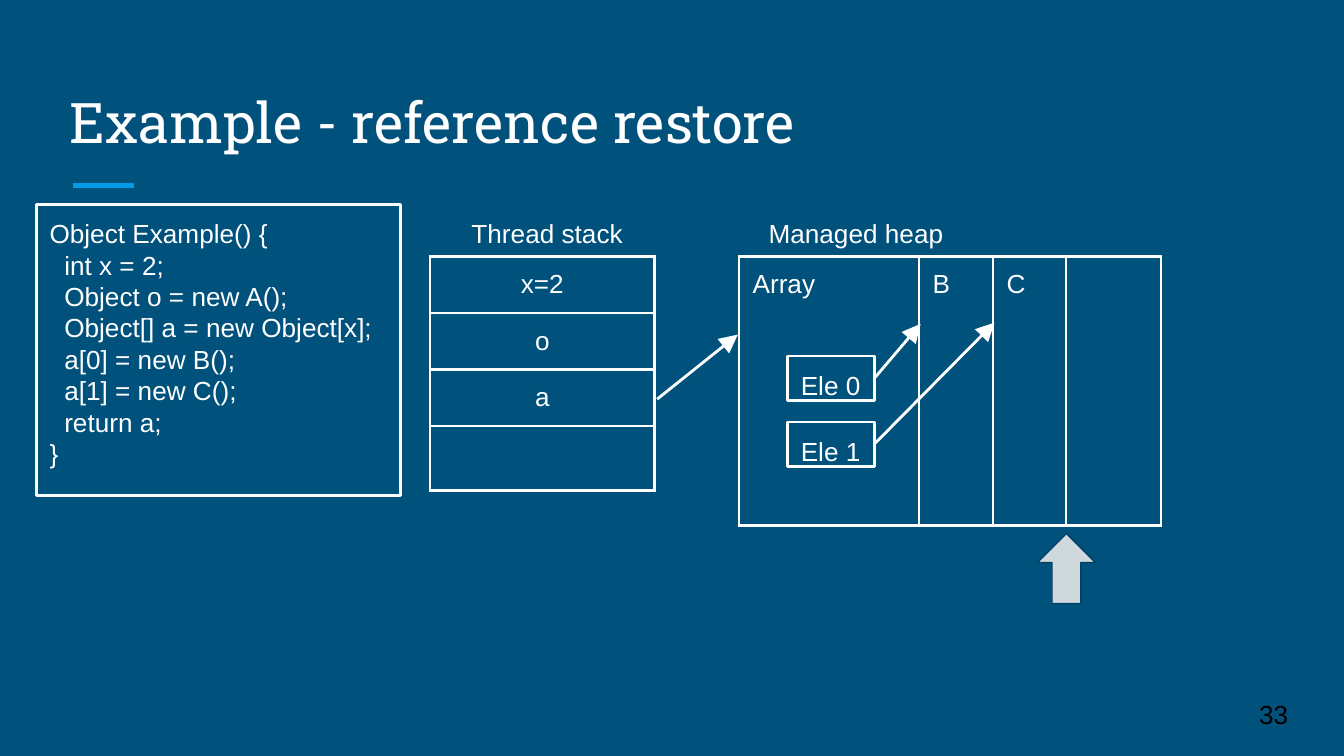
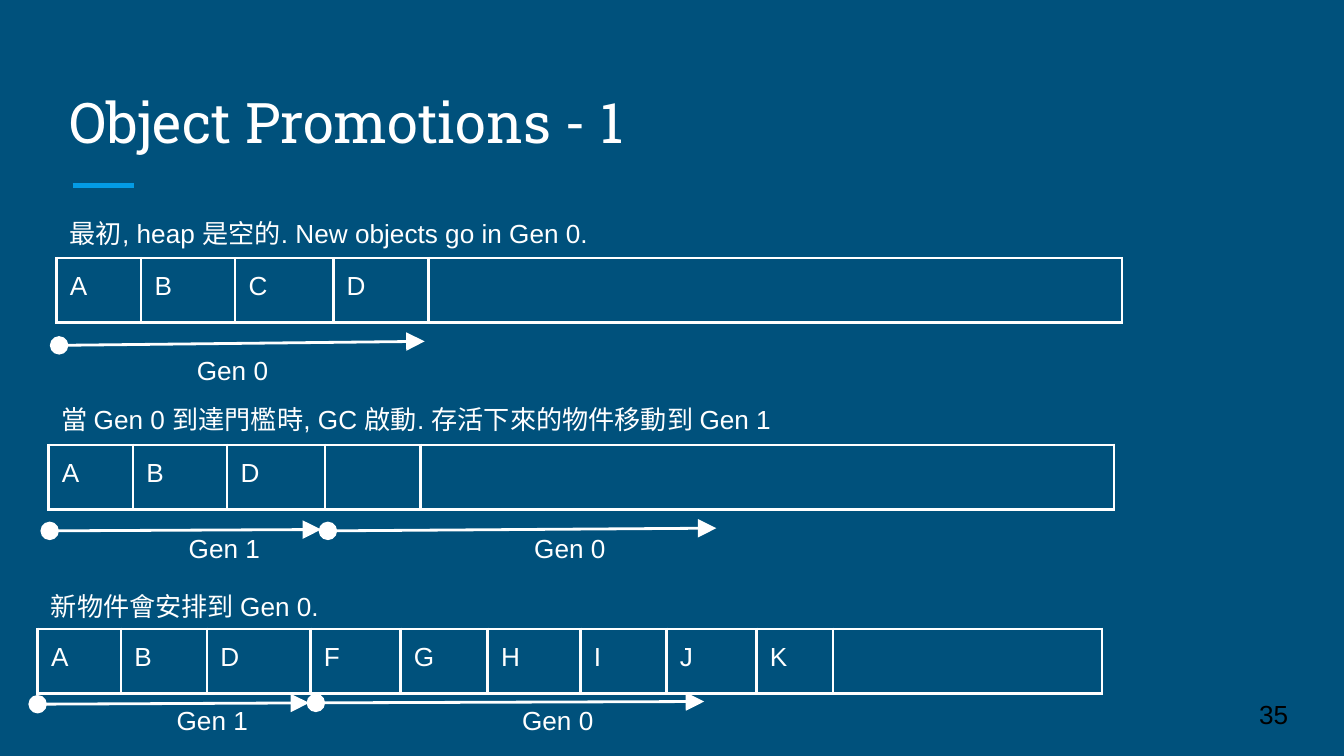
"""Build two slides on memory references and generations in a managed heap."""
from lxml import etree
from pptx import Presentation
from pptx.dml.color import RGBColor
from pptx.enum.shapes import MSO_CONNECTOR, MSO_SHAPE
from pptx.enum.text import MSO_ANCHOR, MSO_AUTO_SIZE, PP_ALIGN
from pptx.oxml.ns import qn
from pptx.util import Inches, Pt

LEFT, CENTER = PP_ALIGN.LEFT, PP_ALIGN.CENTER
TOP, MIDDLE, BOTTOM = MSO_ANCHOR.TOP, MSO_ANCHOR.MIDDLE, MSO_ANCHOR.BOTTOM
NO_FIT = MSO_AUTO_SIZE.NONE
STRAIGHT, RECT, UP_ARROW = MSO_CONNECTOR.STRAIGHT, MSO_SHAPE.RECTANGLE, MSO_SHAPE.UP_ARROW

BACK, WHITE, BLACK = "00517C", "FFFFFF", "000000"
ACCENT, GREY, DARK = "039BE5", "CFD8DC", "004065"
ROW_H, LAST_ROW_H = 0.42, 0.48
GEN_COLS = [0.63, 0.7, 0.73, 0.71, 5.16]


def write(tf, lines, align=LEFT, anchor=TOP, size=14, font="Arial", color=WHITE):
    tf.word_wrap = True
    tf.auto_size = NO_FIT
    tf.vertical_anchor = anchor
    tf.margin_left = tf.margin_right = tf.margin_top = tf.margin_bottom = Inches(0.1)
    for i, (text, indent) in enumerate(lines):
        p = tf.add_paragraph() if i else tf.paragraphs[0]
        p.alignment = align
        if indent:
            p._p.get_or_add_pPr().set("marL", str(Inches(indent)))
        r = p.add_run()
        r.text = text
        r.font.name = font
        r.font.size = Pt(size)
        r.font.color.rgb = RGBColor.from_string(color)


def add_line(s, x1, y1, x2, y2, color=WHITE, width=1.5, head=None, tail=None):
    c = s.shapes.add_connector(STRAIGHT, Inches(x1), Inches(y1), Inches(x2), Inches(y2))
    c.line.color.rgb = RGBColor.from_string(color)
    c.line.width = Pt(width)
    spPr = c._element.spPr
    for tag, kind in (("a:headEnd", head), ("a:tailEnd", tail)):
        if kind:
            etree.SubElement(spPr.find(qn("a:ln")), qn(tag), type=kind, w="lg", len="lg")
    etree.SubElement(spPr, qn("a:effectLst"))


code = [("Object Example() {", 0), ("int x = 2;", 0.11), ("Object o = new A();", 0.11),
        ("Object[] a = new Object[x];", 0.11), ("a[0] = new B();", 0.11),
        ("a[1] = new C();", 0.11), ("return a;", 0.11), ("}", 0)]

slides = [
    {"title": "Example - reference restore", "number": "33",
     "boxes": [(0.27, 1.52, 2.71, 2.17, code),
               (5.86, 2.65, 0.65, 0.33, [("Ele 0", 0)]),
               (5.86, 3.14, 0.65, 0.33, [("Ele 1", 0)])],
     "labels": [(3.41, 1.52, 1.46, 0.39, "Thread stack", LEFT),
                (5.62, 1.52, 1.67, 0.39, "Managed heap", LEFT)],
     "tables": [(3.2, 1.91, [1.67], [ROW_H] * 3 + [LAST_ROW_H], ["x=2", "o", "a", ""], CENTER),
                (5.5, 1.91, [1.34, 0.55, 0.54, 0.71], [2], ["Array", "B", "C", ""], LEFT)],
     "head": None,
     "arrows": [(6.51, 2.81, 6.85, 2.41), (4.89, 2.97, 5.49, 2.49), (6.51, 3.3, 7.4, 2.4)]},
    {"title": "Object Promotions - 1", "number": "35",
     "boxes": [],
     "labels": [(0.42, 1.52, 7.92, 0.35, "最初, heap 是空的. New objects go in Gen 0.", LEFT),
                (0.43, 2.54, 2.6, 0.35, "Gen 0", CENTER),
                (0.36, 2.9, 7.92, 0.35, "當 Gen 0 到達門檻時, GC 啟動. 存活下來的物件移動到 Gen 1", LEFT),
                (0.37, 3.86, 2.6, 0.35, "Gen 1", CENTER),
                (2.94, 3.86, 2.6, 0.35, "Gen 0", CENTER),
                (0.28, 4.29, 7.92, 0.35, "新物件會安排到 Gen 0.", LEFT),
                (0.28, 5.14, 2.6, 0.35, "Gen 1", CENTER),
                (2.85, 5.14, 2.6, 0.35, "Gen 0", CENTER)],
     "tables": [(0.42, 1.92, GEN_COLS, [LAST_ROW_H], ["A", "B", "C", "D", ""], LEFT),
                (0.36, 3.31, GEN_COLS, [LAST_ROW_H], ["A", "B", "D", "", ""], LEFT),
                (0.28, 4.68, [0.62, 0.64, 0.77, 0.67, 0.65, 0.69, 0.64, 0.67, 0.57, 2],
                 [LAST_ROW_H], [*"ABDFGHIJK", ""], LEFT)],
     "head": "oval",
     "arrows": [(0.44, 2.57, 3.16, 2.54), (0.37, 3.95, 2.39, 3.94), (2.44, 3.95, 5.33, 3.93),
                (0.28, 5.24, 2.3, 5.23), (2.35, 5.23, 5.24, 5.22)]},
]

prs = Presentation()
prs.slide_width = Inches(10)
prs.slide_height = prs.slide_width * 9 // 16
fill = prs.slide_master.background.fill
fill.solid()
fill.fore_color.rgb = RGBColor.from_string(BACK)

for data in slides:
    s = prs.slides.add_slide(prs.slide_layouts[5])
    title = s.shapes.title
    title.left, title.top = Inches(0.42), Inches(0.5)
    title.width, title.height = Inches(9.15), Inches(0.75)
    write(title.text_frame, [(data["title"], 0)], anchor=BOTTOM, size=30, font="Roboto Slab")
    add_line(s, 0.54, 1.38, 1, 1.38, ACCENT, 3)
    number = s.shapes.add_textbox(Inches(9.27), Inches(5.1), Inches(0.6), Inches(0.43))
    write(number.text_frame, [(data["number"], 0)], anchor=MIDDLE, color=BLACK)

    for x, y, cols, rows, texts, align in data["tables"]:
        tbl = s.shapes.add_table(len(rows), len(cols), Inches(x), Inches(y),
                                 Inches(sum(cols)), Inches(sum(rows))).table
        tbl.first_row = tbl.horz_banding = False
        for col, width in zip(tbl.columns, cols):
            col.width = Inches(width)
        for row, height in zip(tbl.rows, rows):
            row.height = Inches(height)
        for cell, text in zip(tbl.iter_cells(), texts):
            cell.fill.background()
            tcPr = cell._tc.get_or_add_tcPr()
            for i, side in enumerate(("a:lnL", "a:lnR", "a:lnT", "a:lnB")):
                ln = etree.Element(qn(side), w=str(Pt(1.5)))
                solid = etree.SubElement(ln, qn("a:solidFill"))
                etree.SubElement(solid, qn("a:srgbClr"), val=WHITE)
                tcPr.insert(i, ln)
            if text:
                cell.margin_left = cell.margin_right = Inches(0.1)
                cell.margin_top = cell.margin_bottom = Inches(0.1)
                p = cell.text_frame.paragraphs[0]
                p.alignment = align
                r = p.add_run()
                r.text = text
                r.font.name = "Arial"
                r.font.size = Pt(14)
                r.font.color.rgb = RGBColor.from_string(WHITE)

    for x, y, w, h, lines in data["boxes"]:
        sp = s.shapes.add_shape(RECT, Inches(x), Inches(y), Inches(w), Inches(h))
        sp.shadow.inherit = False
        sp.fill.background()
        sp.line.color.rgb = RGBColor.from_string(WHITE)
        sp.line.width = Pt(1.5)
        write(sp.text_frame, lines)
    for x, y, w, h, text, align in data["labels"]:
        label = s.shapes.add_textbox(Inches(x), Inches(y), Inches(w), Inches(h))
        write(label.text_frame, [(text, 0)], align)
    for ends in data["arrows"]:
        add_line(s, *ends, head=data["head"], tail="triangle")

pointer = prs.slides[0].shapes.add_shape(UP_ARROW, Inches(7.72), Inches(3.97),
                                         Inches(0.43), Inches(0.52))
pointer.shadow.inherit = False
pointer.fill.solid()
pointer.fill.fore_color.rgb = RGBColor.from_string(GREY)
pointer.line.color.rgb = RGBColor.from_string(DARK)
pointer.line.width = Pt(0.75)

prs.save("out.pptx")
